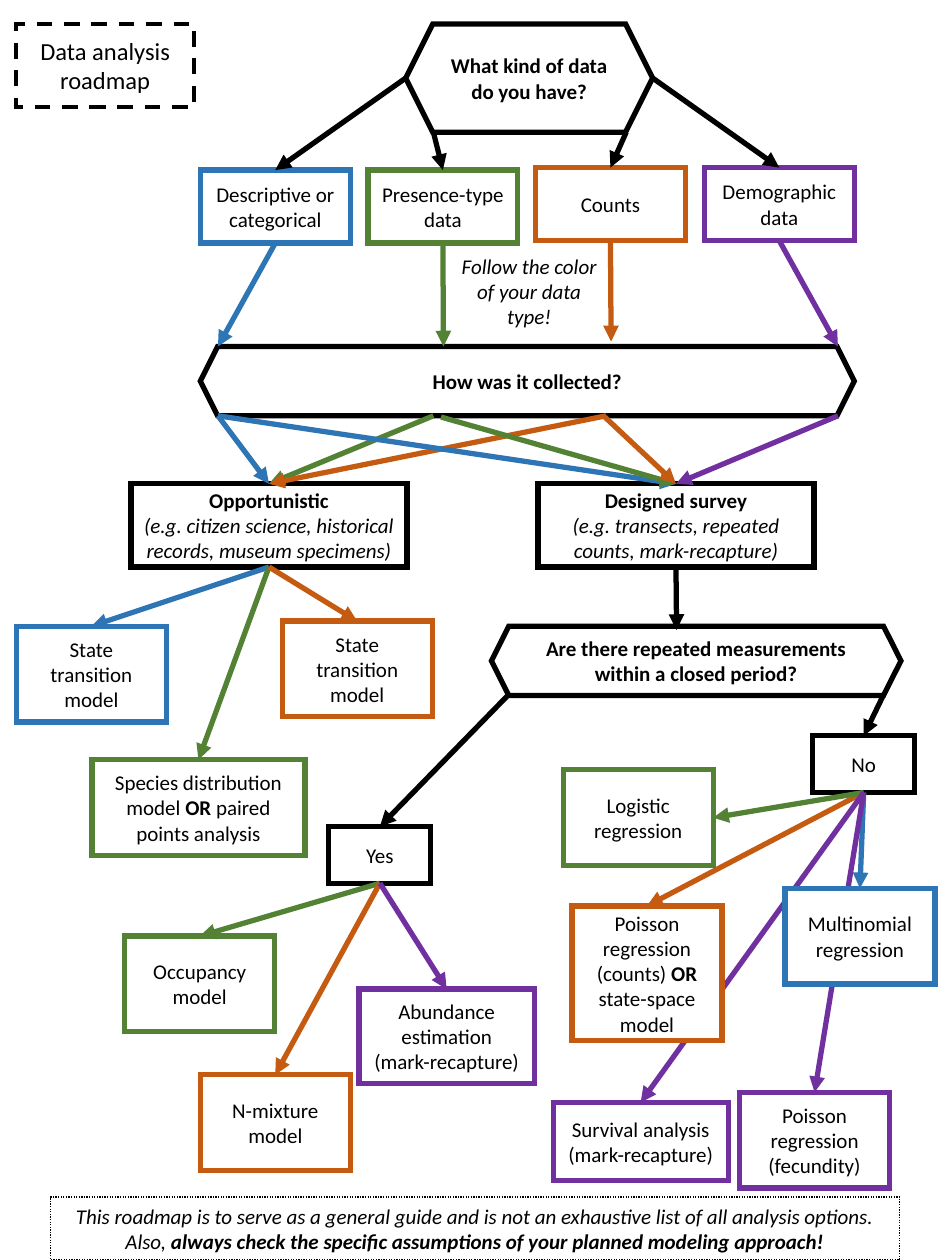
from pptx import Presentation
from pptx.dml.color import RGBColor
from pptx.enum.dml import MSO_LINE
from pptx.enum.shapes import MSO_CONNECTOR, MSO_SHAPE
from pptx.enum.text import MSO_ANCHOR, MSO_AUTO_SIZE, PP_ALIGN
from pptx.oxml.ns import qn
from pptx.util import Pt
from lxml import etree

PX = 9144
RECT, HEXAGON = MSO_SHAPE.RECTANGLE, MSO_SHAPE.HEXAGON
STRAIGHT = MSO_CONNECTOR.STRAIGHT
DASH, DOT = MSO_LINE.DASH, MSO_LINE.ROUND_DOT
MIDDLE, CENTER = MSO_ANCHOR.MIDDLE, PP_ALIGN.CENTER
GROW = MSO_AUTO_SIZE.SHAPE_TO_FIT_TEXT
TOP, BOTTOM, RIGHT = 0, 2, 3
BLACK, WHITE = "000000", "FFFFFF"
BLUE, GREEN, ORANGE, PURPLE = "2E75B6", "548235", "C55A11", "7030A0"

HEXAGONS = [
    ("What kind of data do you have?", (322, 19, 196, 86)),
    ("How was it collected?", (159, 275, 519, 55)),
    ("Are there repeated measurements within a closed period?", (390, 497, 325, 55)),
]
BOXES = {
    "descriptive": (BLUE, (159, 135, 119, 58), [[("Descriptive or categorical", "")]]),
    "presence": (GREEN, (292, 135, 119, 58), [[("Presence-type data", "")]]),
    "counts": (ORANGE, (425, 133, 119, 58), [[("Counts", "")]]),
    "demographic": (PURPLE, (559, 133, 119, 58), [[("Demographic data", "")]]),
    "opportunistic": (BLACK, (104, 384, 219, 66), [
        [("Opportunistic", "b")],
        [("(e.g. citizen science, historical records, museum specimens)", "i")]]),
    "designed": (BLACK, (427, 384, 219, 66), [
        [("Designed survey", "b")],
        [("(e.g. transects, repeated counts, mark-recapture)", "i")]]),
    "yes": (BLACK, (261, 656, 81, 45), [[("Yes", "")]]),
    "no": (BLACK, (645, 584, 81, 45), [[("No", "")]]),
    "state blue": (BLUE, (13, 497, 119, 76), [[("State transition model", "")]]),
    "state orange": (ORANGE, (224, 493, 119, 76), [[("State transition model", "")]]),
    "species": (GREEN, (73, 603, 169, 76), [
        [("Species distribution model ", ""), ("OR", "b"), (" paired points analysis", "")]]),
    "occupancy": (GREEN, (99, 743, 119, 76), [[("Occupancy model", "")]]),
    "mixture": (ORANGE, (159, 853, 119, 76), [[("N-mixture model", "")]]),
    "abundance": (PURPLE, (285, 785, 139, 75), [[("Abundance estimation (mark-recapture)", "")]]),
    "survival": (PURPLE, (439, 875, 139, 62), [[("Survival analysis (mark-recapture)", "")]]),
    "fecundity": (PURPLE, (587, 867, 119, 76), [[("Poisson regression (fecundity)", "")]]),
    "logistic": (GREEN, (447, 611, 119, 76), [[("Logistic regression", "")]]),
    "poisson": (ORANGE, (454, 719, 119, 107), [
        [("Poisson regression (counts) ", ""), ("OR ", "b"), ("state-space model", "")]]),
    "multinomial": (BLUE, (623, 705, 119, 76), [[("Multinomial regression", "")]]),
}
FRONT = ["logistic", "poisson", "multinomial"]
ARROWS = [
    (BLACK, (322, 62), ("descriptive", TOP)),
    (BLACK, (344, 105), ("presence", TOP)),
    (BLACK, (497, 105), ("counts", TOP)),
    (BLACK, (518, 62), ("demographic", TOP)),
    (BLUE, ("descriptive", BOTTOM), (173, 275)),
    (GREEN, ("presence", BOTTOM), (352, 275)),
    (ORANGE, ("counts", BOTTOM), (485, 271)),
    (PURPLE, ("demographic", BOTTOM), (665, 275)),
    (BLUE, (173, 330), ("opportunistic", TOP)),
    (GREEN, (344, 330), ("opportunistic", TOP)),
    (ORANGE, (481, 330), ("opportunistic", TOP)),
    (BLUE, (173, 330), ("designed", TOP)),
    (GREEN, (350, 331), ("designed", TOP)),
    (ORANGE, (480, 331), ("designed", TOP)),
    (PURPLE, (665, 330), ("designed", TOP)),
    (BLUE, ("opportunistic", BOTTOM), ("state blue", TOP)),
    (GREEN, ("opportunistic", BOTTOM), ("species", TOP)),
    (ORANGE, ("opportunistic", BOTTOM), ("state orange", TOP)),
    (BLACK, ("designed", BOTTOM), (537, 500)),
    (BLACK, (403, 552), ("yes", TOP)),
    (BLACK, (701, 552), ("no", TOP)),
    (GREEN, ("yes", BOTTOM), ("occupancy", TOP)),
    (ORANGE, ("yes", BOTTOM), ("mixture", TOP)),
    (PURPLE, ("yes", BOTTOM), ("abundance", TOP)),
    (ORANGE, ("no", BOTTOM), ("poisson", TOP)),
    (GREEN, ("no", BOTTOM), ("logistic", RIGHT)),
    (BLUE, ("no", BOTTOM), ("multinomial", TOP)),
    (PURPLE, ("no", BOTTOM), ("fecundity", TOP)),
    (PURPLE, ("no", BOTTOM), ("survival", TOP)),
]


def rgb(color):
    """Turn a hex string into a colour."""
    return RGBColor.from_string(color)


def scale(lengths):
    """Turn px lengths into EMU."""
    return [n * PX for n in lengths]


def set_line(s, color, width=3, dash=None):
    """Give an outline its colour, width, dash and sharp corners."""
    s.line.color.rgb = rgb(color)
    s.line.width = Pt(width)
    if dash:
        s.line.dash_style = dash
    ln = s.element.spPr.find(qn("a:ln"))
    etree.SubElement(ln, qn("a:miter"), lim="800000")
    return ln


def write(s, paragraphs, size=12):
    """Fill a shape with centred paragraphs of styled runs."""
    tf = s.text_frame
    tf.word_wrap = True
    for i, runs in enumerate(paragraphs):
        p = tf.add_paragraph() if i else tf.paragraphs[0]
        p.alignment = CENTER
        for text, style in runs:
            r = p.add_run()
            r.text = text
            r.font.name = "Calibri"
            r.font.size = Pt(size)
            r.font.bold = "b" in style
            r.font.italic = "i" in style
            r.font.color.rgb = rgb(BLACK)


def add_box(slide, kind, at, color, paragraphs, size=12, width=3, dash=None):
    """Add an outlined shape with text in its middle."""
    s = slide.shapes.add_shape(kind, *scale(at))
    s.shadow.inherit = False
    s.fill.background()
    set_line(s, color, width, dash)
    s.text_frame.vertical_anchor = MIDDLE
    write(s, paragraphs, size)
    return s


def add_text(slide, at, runs):
    """Add a text box that grows with its text."""
    s = slide.shapes.add_textbox(*scale(at))
    write(s, [runs])
    s.text_frame.auto_size = GROW
    return s


def add_arrow(slide, boxes, color, start, end):
    """Add an arrow between points or box sides."""
    ends = [(0, 0) if p[0] in boxes else p for p in (start, end)]
    s = slide.shapes.add_connector(STRAIGHT, *scale(ends[0] + ends[1]))
    if start[0] in boxes:
        s.begin_connect(boxes[start[0]], start[1])
    if end[0] in boxes:
        s.end_connect(boxes[end[0]], end[1])
    etree.SubElement(set_line(s, color), qn("a:tailEnd"), type="triangle")
    etree.SubElement(s.element.spPr, qn("a:effectLst"))


def bring_to_front(s):
    """Fill a box with white and place it above the arrows."""
    s.fill.solid()
    s.fill.fore_color.rgb = rgb(WHITE)
    s.element.getparent().append(s.element)


def main():
    """Build the roadmap slide."""
    prs = Presentation()
    prs.slide_width, prs.slide_height = scale((750, 1000))
    slide = prs.slides.add_slide(prs.slide_layouts[6])
    add_box(slide, RECT, (13, 19, 141, 66), BLACK, [[("Data analysis roadmap", "")]], 14, 2.25, DASH)
    for text, at in HEXAGONS:
        add_box(slide, HEXAGON, at, BLACK, [[(text, "b")]])
    boxes = {name: add_box(slide, RECT, at, color, paragraphs)
             for name, (color, at, paragraphs) in BOXES.items()}
    add_text(slide, (355, 196, 130, 71), [("Follow the color of your data type!", "i")])
    note = add_text(slide, (40, 950, 674, 50), [
        ("This roadmap is to serve as a general guide and is not an exhaustive list "
         "of all analysis options. Also, ", "i"),
        ("always check the specific assumptions of your planned modeling approach!", "bi")])
    set_line(note, BLACK, 0.75, DOT)
    for color, start, end in ARROWS:
        add_arrow(slide, boxes, color, start, end)
    for name in FRONT:
        bring_to_front(boxes[name])
    prs.save("out.pptx")


if __name__ == "__main__":
    main()
